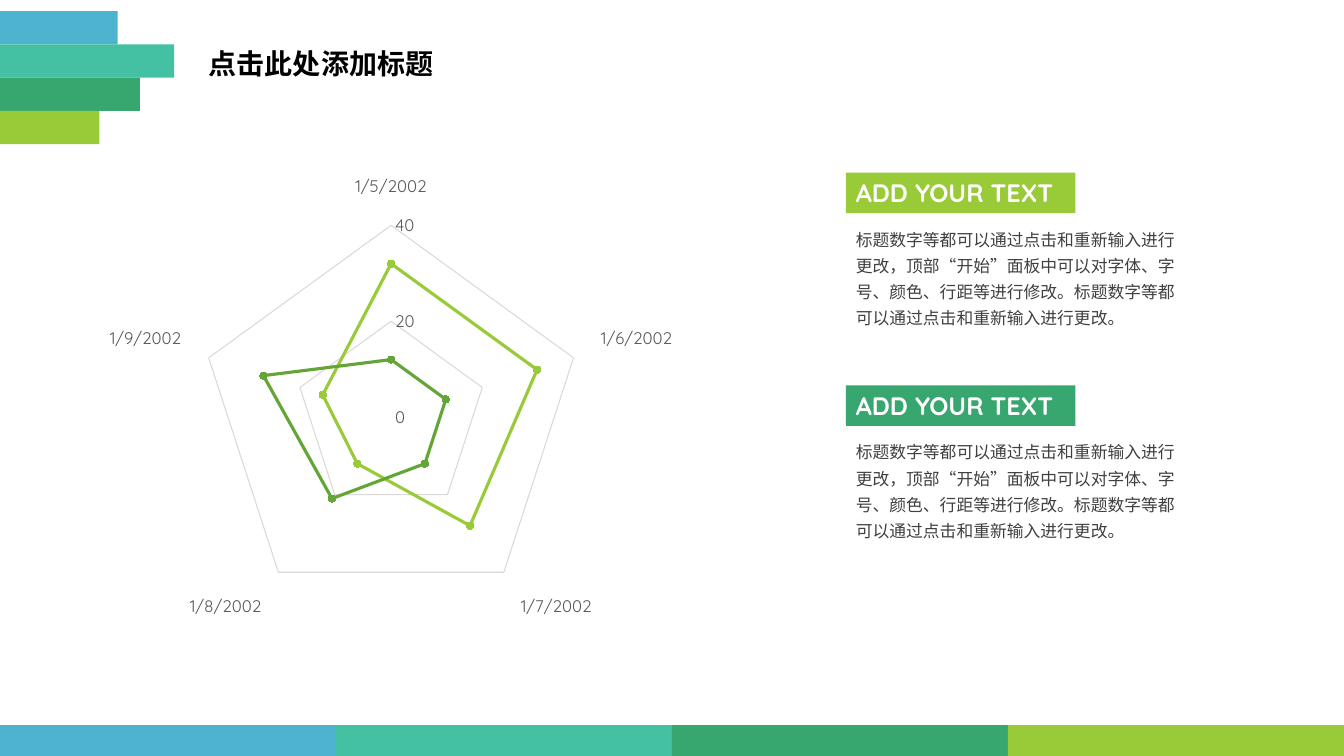
from dataclasses import dataclass

from lxml import etree
from pptx import Presentation
from pptx.chart.data import CategoryChartData
from pptx.dml.color import RGBColor
from pptx.enum.chart import XL_CHART_TYPE, XL_MARKER_STYLE, XL_TICK_MARK
from pptx.enum.lang import MSO_LANGUAGE_ID
from pptx.enum.shapes import MSO_SHAPE
from pptx.enum.text import MSO_ANCHOR, MSO_AUTO_SIZE, PP_ALIGN
from pptx.oxml.ns import qn
from pptx.slide import Slide
from pptx.text.text import Font, TextFrame
from pptx.util import Pt

RECTANGLE = MSO_SHAPE.RECTANGLE
LEFT = PP_ALIGN.LEFT
TOP, MIDDLE = MSO_ANCHOR.TOP, MSO_ANCHOR.MIDDLE
NO_AUTOFIT = MSO_AUTO_SIZE.NONE
CHINESE = MSO_LANGUAGE_ID.SIMPLIFIED_CHINESE
RADAR = XL_CHART_TYPE.RADAR_MARKERS
CIRCLE = XL_MARKER_STYLE.CIRCLE
NO_TICK = XL_TICK_MARK.NONE

CJK_FONT, LATIN_FONT = "Noto Sans CJK SC", "Quicksand"
BLUE, TEAL, GREEN, LIME = "4EB3CF", "44C1A3", "37A76F", "99CB38"
LEAF, GRID, AXIS_TEXT = "63A537", "D9D9D9", "595959"

SLIDE_WIDTH, SLIDE_HEIGHT = 960, 540
BAND_COLORS = (BLUE, TEAL, GREEN, LIME)
CORNER_WIDTHS = (84, 124.5, 100, 71)
CORNER_TOP, CORNER_STEP = 8, 23.75
FOOTER_HEIGHT = 22
COLUMN_LEFT = 604.25
HEADING_WIDTH, HEADING_HEIGHT = 164, 29
BODY_TEXT = (
    "标题数字等都可以通过点击和重新输入进行更改，顶部“开始”面板中可以对字体、"
    "字号、颜色、行距等进行修改。标题数字等都可以通过点击和重新输入进行更改。"
)
DATES = [f"1/{day}/2002" for day in range(5, 10)]
PLOT_LAYOUT = {"x": 0.204, "y": 0.057, "w": 0.58, "h": 0.87}


@dataclass(frozen=True)
class RadarSeries:
    name: str
    values: tuple[int, ...]
    color: str


@dataclass(frozen=True)
class Section:
    top: float
    color: str


SERIES = (
    RadarSeries("Series 1", (32, 32, 28, 12, 15), LIME),
    RadarSeries("Series 2", (12, 12, 12, 21, 28), LEAF),
)
SECTIONS = (Section(123.25, LIME), Section(275.25, GREEN))


def rgb(color: str) -> RGBColor:
    return RGBColor.from_string(color)


def style_font(font: Font, name: str, size: float, color: str, bold: bool = False) -> None:
    font.name = name
    font.size = Pt(size)
    font.bold = bold
    font.color.rgb = rgb(color)


def write_text(frame: TextFrame, text: str, name: str, size: float, color: str,
               bold: bool = False, spacing: float = 1.0, anchor: MSO_ANCHOR = TOP,
               wrap: bool = True) -> None:
    frame.word_wrap = wrap
    frame.auto_size = NO_AUTOFIT
    frame.vertical_anchor = anchor
    paragraph = frame.paragraphs[0]
    paragraph.alignment = LEFT
    paragraph.line_spacing = spacing
    paragraph.space_before = Pt(0)
    run = paragraph.add_run()
    run.text = text
    style_font(run.font, name, size, color, bold)
    if name == CJK_FONT:
        run.font.language_id = CHINESE
        properties = run.font._element
        east_asian = etree.Element(qn("a:ea"), typeface=name)
        properties.find(qn("a:latin")).addnext(east_asian)


def add_rectangle(slide: Slide, left: float, top: float, width: float, height: float,
                  color: str) -> TextFrame:
    shape = slide.shapes.add_shape(RECTANGLE, Pt(left), Pt(top), Pt(width), Pt(height))
    shape.shadow.inherit = False
    shape.fill.solid()
    shape.fill.fore_color.rgb = rgb(color)
    shape.line.fill.background()
    return shape.text_frame


def add_bands(slide: Slide) -> None:
    footer_width = SLIDE_WIDTH / len(BAND_COLORS)
    for index, (color, width) in enumerate(zip(BAND_COLORS, CORNER_WIDTHS)):
        add_rectangle(slide, 0, CORNER_TOP + index * CORNER_STEP, width, CORNER_STEP, color)
        add_rectangle(slide, index * footer_width, SLIDE_HEIGHT - FOOTER_HEIGHT,
                      footer_width, FOOTER_HEIGHT, color)


def add_title(slide: Slide) -> None:
    title = slide.shapes.title
    title.left, title.top, title.width, title.height = Pt(142), Pt(25.5), Pt(351), Pt(42)
    write_text(title.text_frame, "点击此处添加标题", CJK_FONT, 20, "000000",
               bold=True, spacing=0.9, anchor=MIDDLE)


def add_radar(slide: Slide) -> None:
    data = CategoryChartData()
    data.categories = DATES
    for item in SERIES:
        data.add_series(item.name, item.values)
    chart = slide.shapes.add_chart(RADAR, Pt(46), Pt(123), Pt(472.5), Pt(355.75), data).chart
    chart.has_legend = False
    chart.has_title = False
    style_font(chart.font, LATIN_FONT, 10, "000000")

    for axis in (chart.category_axis, chart.value_axis):
        axis.major_tick_mark = axis.minor_tick_mark = NO_TICK
        style_font(axis.tick_labels.font, LATIN_FONT, 12, AXIS_TEXT)
    chart.category_axis.has_major_gridlines = False
    values = chart.value_axis
    values.minimum_scale, values.maximum_scale, values.major_unit = 0, 40, 20
    values.has_major_gridlines = True
    values.format.line.fill.background()
    for line in (chart.category_axis.format.line, values.major_gridlines.format.line):
        line.color.rgb = rgb(GRID)
        line.width = Pt(0.75)

    for series, item in zip(chart.plots[0].series, SERIES):
        series.smooth = False
        series.format.line.color.rgb = rgb(item.color)
        series.format.line.width = Pt(2.25)
        series.marker.style = CIRCLE
        series.marker.size = 5
        series.marker.format.fill.solid()
        series.marker.format.fill.fore_color.rgb = rgb(item.color)
        series.marker.format.line.color.rgb = rgb(item.color)

    plot_area = chart.element.find(f".//{qn('c:plotArea')}")
    for empty_layout in plot_area.findall(qn("c:layout")):
        plot_area.remove(empty_layout)
    layout = etree.Element(qn("c:layout"))
    manual = etree.SubElement(layout, qn("c:manualLayout"))
    settings = {"layoutTarget": "inner", "xMode": "edge", "yMode": "edge", **PLOT_LAYOUT}
    for tag, value in settings.items():
        etree.SubElement(manual, qn(f"c:{tag}"), val=str(value))
    plot_area.insert(0, layout)


def add_section(slide: Slide, section: Section) -> None:
    heading = add_rectangle(slide, COLUMN_LEFT, section.top, HEADING_WIDTH, HEADING_HEIGHT,
                            section.color)
    write_text(heading, "ADD YOUR TEXT", LATIN_FONT, 18, "FFFFFF", bold=True, wrap=False)
    body = slide.shapes.add_textbox(Pt(COLUMN_LEFT), Pt(section.top + 32.75), Pt(244), Pt(83))
    write_text(body.text_frame, BODY_TEXT, CJK_FONT, 12, "404040", spacing=1.3)


def main() -> None:
    presentation = Presentation()
    presentation.slide_width, presentation.slide_height = Pt(SLIDE_WIDTH), Pt(SLIDE_HEIGHT)
    title_only = presentation.slide_layouts.get_by_name("Title Only")
    slide = presentation.slides.add_slide(title_only)
    add_bands(slide)
    add_title(slide)
    add_radar(slide)
    for section in SECTIONS:
        add_section(slide, section)
    presentation.save("out.pptx")


if __name__ == "__main__":
    main()
